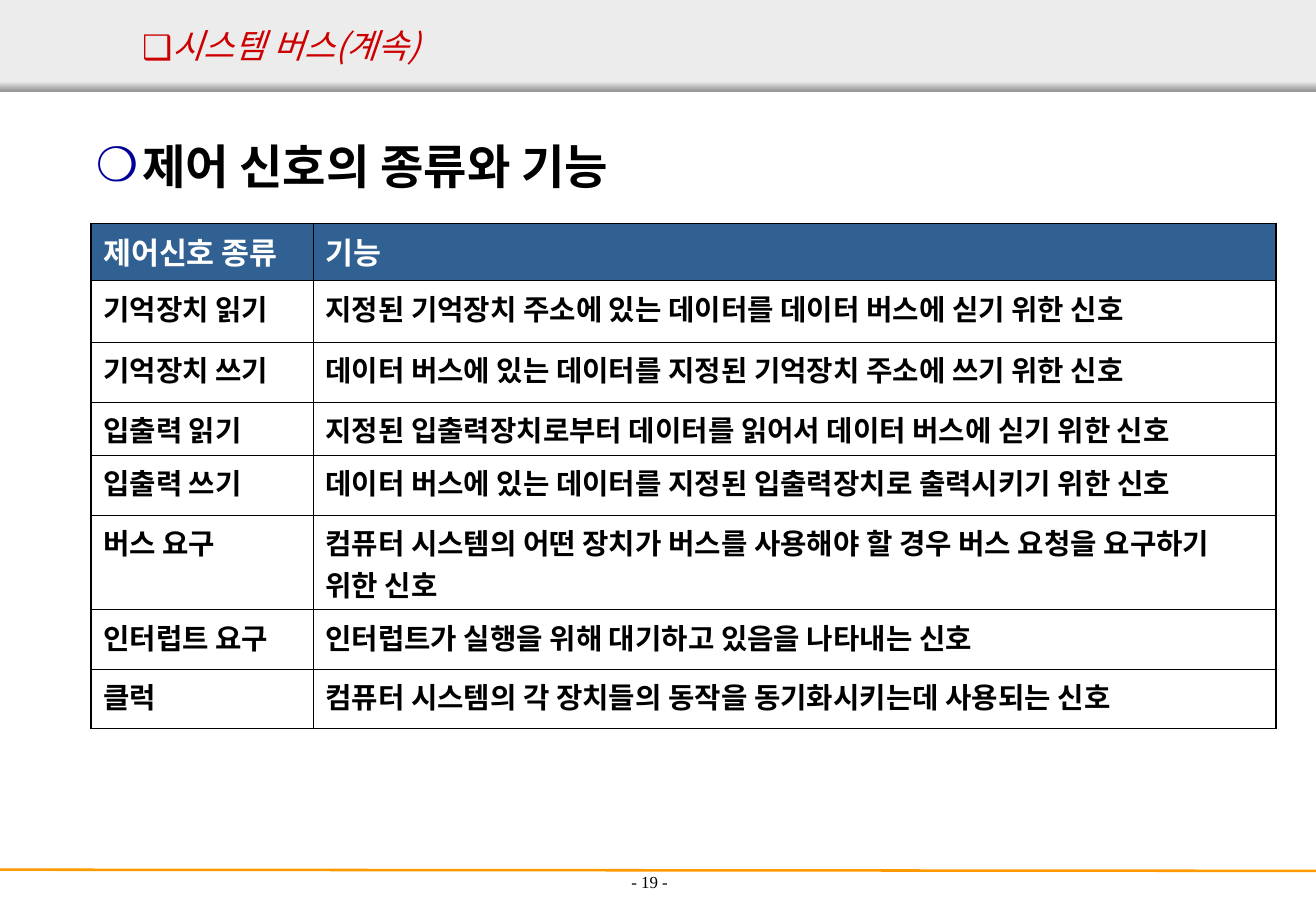
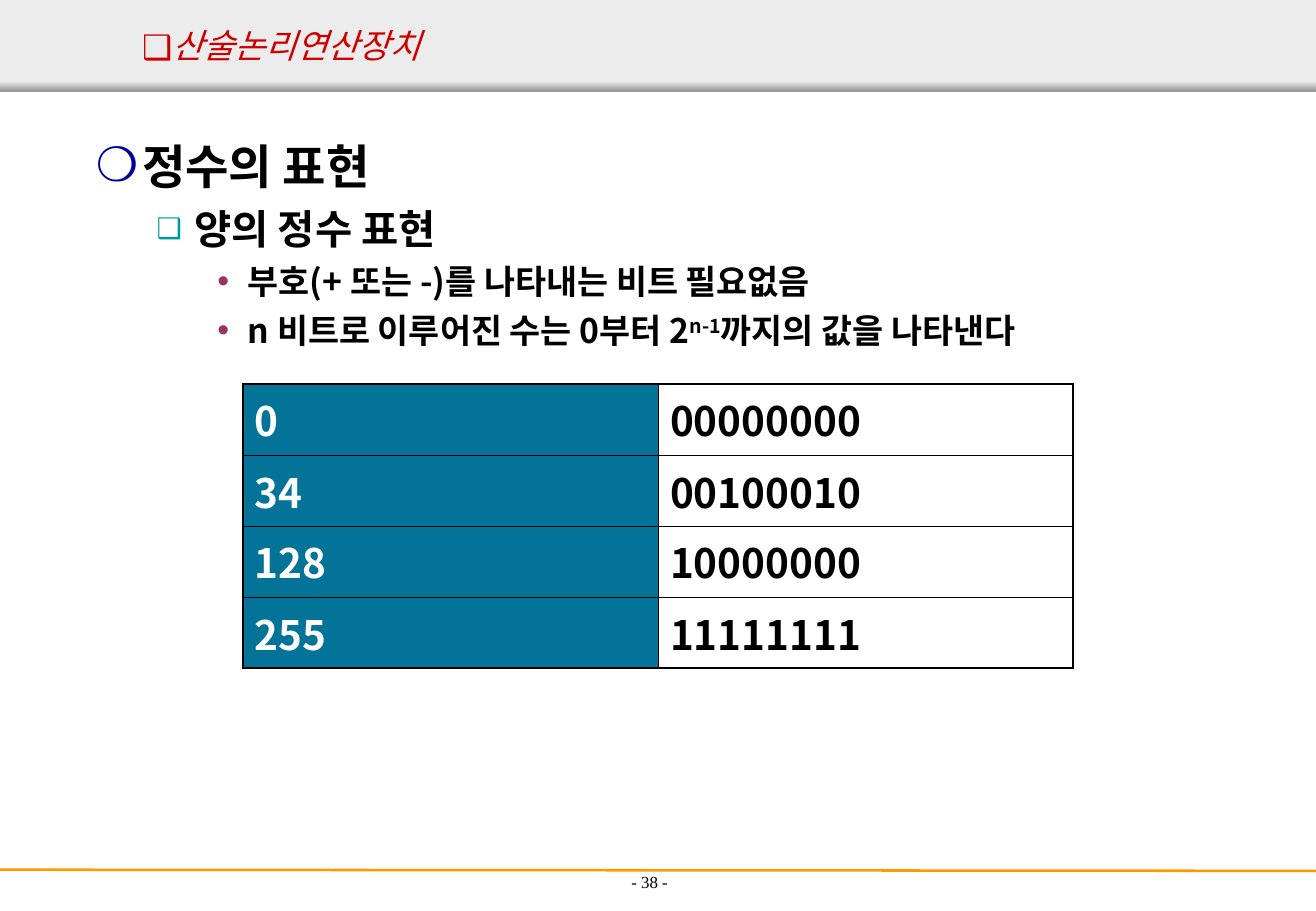
import pptx
import pptx.util
import pptx.dml.color
import pptx.enum.shapes
import pptx.enum.text
import pptx.oxml
import pptx.oxml.ns
import lxml.etree

Inches = pptx.util.Inches
Pt = pptx.util.Pt
qn = pptx.oxml.ns.qn
sub = lxml.etree.SubElement
text_enum = pptx.enum.text
SANS = "Noto Sans CJK KR"


def hue(code):
    return pptx.dml.color.RGBColor.from_string(code)


def put(para, text, size=20, color="000000", bold=False, italic=False,
        face=SANS, base=0):
    run = para.add_run()
    run.text = text
    font = run.font
    font.size = Pt(size)
    font.bold = bold
    font.italic = italic
    font.color.rgb = hue(color)
    font.name = face
    props = run._r.get_or_add_rPr()
    sub(props, qn("a:ea")).set("typeface", face)
    if base:
        props.set("baseline", str(base * 1000))


# Outline levels: mark, its colour and size, left, indent, space before, text format
LEVELS = {
    "title": ("❑", "CC0000", 100, 0, 0.53, 0, dict(size=20, color="CC0000", italic=True)),
    0: ("❍", "000099", 100, 0.38, -0.38, 0, dict(size=28, bold=True)),
    1: ("❑", "009999", 70, 0.81, -0.31, 6, dict(size=24, bold=True)),
    2: ("•", "993366", 100, 1.25, -0.25, 5, dict(size=20, bold=True)),
}

PAGES = [
    dict(
        title="시스템 버스(계속)", number="- 19 -", deep=0.62,
        body=[(0, [("제어 신호의 종류와 기능", 0)])],
        at=(0.75, 1.84), cols=[1.83, 7.93],
        rows=[0.47, 0.51, 0.49, 0.44, 0.49, 0.78, 0.49, 0.49],
        size=17, top=18, head="row", dark="306192", light="FFFFFF",
        cells=[
            ("제어신호 종류", "기능"),
            ("기억장치 읽기", "지정된 기억장치 주소에 있는 데이터를 데이터 버스에 싣기 위한 신호"),
            ("기억장치 쓰기", "데이터 버스에 있는 데이터를 지정된 기억장치 주소에 쓰기 위한 신호"),
            ("입출력 읽기", "지정된 입출력장치로부터 데이터를 읽어서 데이터 버스에 싣기 위한 신호"),
            ("입출력 쓰기", "데이터 버스에 있는 데이터를 지정된 입출력장치로 출력시키기 위한 신호"),
            ("버스 요구", "컴퓨터 시스템의 어떤 장치가 버스를 사용해야 할 경우 버스 요청을 요구하기 위한 신호"),
            ("인터럽트 요구", "인터럽트가 실행을 위해 대기하고 있음을 나타내는 신호"),
            ("클럭", "컴퓨터 시스템의 각 장치들의 동작을 동기화시키는데 사용되는 신호"),
        ]),
    dict(
        title="산술논리연산장치", number="- 38 -", deep=5.47,
        body=[
            (0, [("정수의 표현", 0)]),
            (1, [("양의 정수 표현", 0)]),
            (2, [("부호(+ 또는 -)를 나타내는 비트 필요없음", 0)]),
            (2, [("n 비트로 이루어진 수는 0부터 2", 0), ("n-1", 30),
                 ("까지의 값을 나타낸다", 0)]),
        ],
        at=(2, 3.16), cols=[3.42] * 2, rows=[0.59, 0.58] * 2,
        size=24, top=24, head="column", dark="037497", light=None,
        cells=[("0", "00000000"), ("34", "00100010"),
               ("128", "10000000"), ("255", "11111111")]),
]

deck = pptx.Presentation()
deck.slide_width = Inches(10.84)
deck.slide_height = Inches(7.5)
layout = deck.slide_layouts[1]
slides = [deck.slides.add_slide(layout) for page in PAGES]

# Shared header band, its shade and the footer rule, moved into the layout
shapes = slides[0].shapes
rect = pptx.enum.shapes.MSO_SHAPE.RECTANGLE
band = shapes.add_shape(rect, 0, 0, deck.slide_width, Inches(0.75))
band.fill.solid()
band.fill.fore_color.rgb = hue("ECECEC")
shade = shapes.add_shape(rect, 0, Inches(0.67), deck.slide_width, Inches(0.08))
shade.fill.gradient()
shade.fill.gradient_angle = 270
for stop, code in zip(shade.fill.gradient_stops, ("ECECEC", "979797")):
    stop.color.rgb = hue(code)
for shape in (band, shade):
    shape.line.fill.background()
    shape.shadow.inherit = False
rule = shapes.add_connector(pptx.enum.shapes.MSO_CONNECTOR.STRAIGHT,
                            0, Inches(7.16), deck.slide_width, Inches(7.17))
rule.line.color.rgb = hue("FF9900")
rule.line.width = Pt(1.5)
sub(rule._element.spPr, qn("a:effectLst"))
for spot, shape in enumerate((band, shade, rule), 2):
    layout.shapes.element.insert(spot, shape._element)

for slide, page in zip(slides, PAGES):
    # Title and body
    title, body = slide.placeholders[0], slide.placeholders[1]
    outline = [("title", [(page["title"], 0)])] + page["body"]
    for holder, box, anchor in (
            (title, (0.54, 0.14, 9.75, 0.46), text_enum.MSO_ANCHOR.MIDDLE),
            (body, (0.69, 1.08, 9.45, page["deep"]), text_enum.MSO_ANCHOR.TOP)):
        holder.left, holder.top, holder.width, holder.height = map(Inches, box)
        holder.text_frame.auto_size = text_enum.MSO_AUTO_SIZE.NONE
        holder.text_frame.vertical_anchor = anchor
    for order, (level, runs) in enumerate(outline):
        frame = (body if order else title).text_frame
        para = frame.paragraphs[0] if order < 2 else frame.add_paragraph()
        mark, tint, scale, left, indent, gap, form = LEVELS[level]
        para.alignment = text_enum.PP_ALIGN.LEFT
        para.level = 0 if level == "title" else level
        para.space_before = Pt(gap)
        para.line_spacing = 1.0
        props = para._p.get_or_add_pPr()
        props.set("marL", str(Inches(left)))
        props.set("indent", str(Inches(indent)))
        sub(sub(props, qn("a:buClr")), qn("a:srgbClr")).set("val", tint)
        sub(props, qn("a:buSzPct")).set("val", str(scale * 1000))
        sub(props, qn("a:buFont")).set("typeface", SANS if level == "title" else "Arial")
        sub(props, qn("a:buChar")).set("char", mark)
        for text, base in runs:
            put(para, text, base=base, **form)

    # Page number
    note = slide.shapes.add_textbox(*map(Inches, (3.69, 6.89, 3.32, 0.5)))
    note.text_frame.word_wrap = True
    note.text_frame.vertical_anchor = text_enum.MSO_ANCHOR.BOTTOM
    para = note.text_frame.paragraphs[0]
    para.alignment = text_enum.PP_ALIGN.CENTER
    put(para, page["number"], size=10, face="Times New Roman")

    # Table with a heavier outer edge
    rows, cols = page["rows"], page["cols"]
    table = slide.shapes.add_table(
        len(rows), len(cols), *map(Inches, page["at"]),
        Inches(sum(cols)), Inches(sum(rows))).table
    table.first_row = table.horz_banding = False
    for col, width in zip(table.columns, cols):
        col.width = Inches(width)
    for r, line in enumerate(page["cells"]):
        table.rows[r].height = Inches(rows[r])
        for c, text in enumerate(line):
            cell = table.cell(r, c)
            head = r == 0 if page["head"] == "row" else c == 0
            put(cell.text_frame.paragraphs[0], text, bold=True,
                size=page["size"] if r else page["top"],
                color="FFFFFF" if head else "000000")
            props = cell._tc.get_or_add_tcPr()
            edges = dict(L=c == 0, R=c == len(cols) - 1,
                         T=r == 0, B=r == len(rows) - 1)
            for side, outer in edges.items():
                edge = sub(props, qn("a:ln" + side))
                edge.set("w", str(Pt(1.08 if outer else 0.45)))
                ink = sub(edge, qn("a:solidFill"))
                sub(ink, qn("a:srgbClr")).set("val", "000000")
            fill = page["dark"] if head else page["light"]
            if fill:
                cell.fill.solid()
                cell.fill.fore_color.rgb = hue(fill)
            else:
                cell.fill.background()

deck.save("out.pptx")
